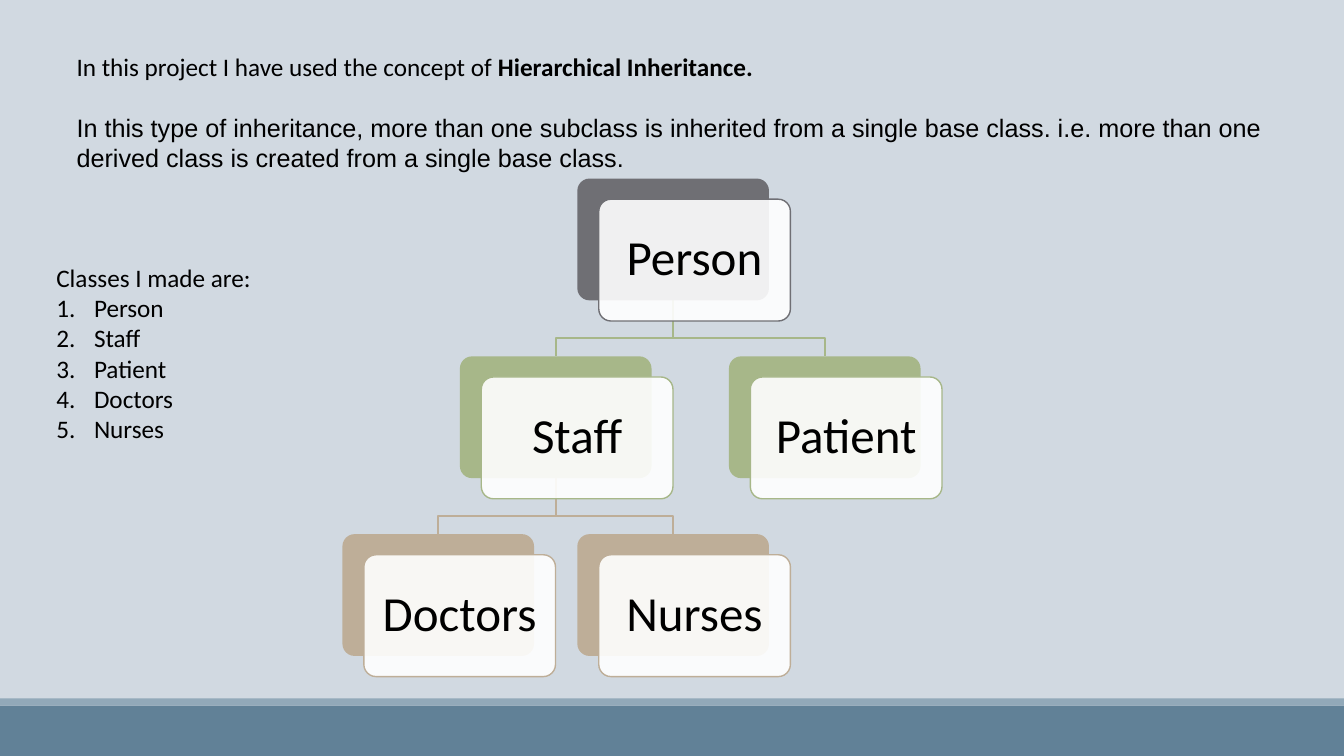
from lxml import etree
from pptx import Presentation
from pptx.dml.color import RGBColor
from pptx.enum.shapes import MSO_SHAPE
from pptx.enum.text import MSO_ANCHOR, PP_ALIGN
from pptx.oxml.ns import qn
from pptx.util import Cm, Pt

RECT = MSO_SHAPE.RECTANGLE
ROUNDED = MSO_SHAPE.ROUNDED_RECTANGLE
MIDDLE = MSO_ANCHOR.MIDDLE
CENTER = PP_ALIGN.CENTER

BLACK = RGBColor(0x00, 0x00, 0x00)
WHITE = RGBColor(0xFF, 0xFF, 0xFF)
SKY = RGBColor(0xD1, 0xD9, 0xE1)
SLATE = RGBColor(0x61, 0x81, 0x97)
MIST = RGBColor(0x92, 0xA9, 0xB9)
GRAY = RGBColor(0x6F, 0x6F, 0x74)
GREEN = RGBColor(0xA7, 0xB7, 0x89)
TAN = RGBColor(0xBE, 0xAE, 0x98)

SLIDE_W, SLIDE_H = 33.87, 19.05
CARD_W, CARD_H = 4.83, 3.07
SHIFT_X, SHIFT_Y = 0.54, 0.52
TOP_ROW, ROW_STEP = 4.5, 4.48
BEND = 0.95

prs = Presentation()
prs.slide_width = Cm(SLIDE_W)
prs.slide_height = Cm(SLIDE_H)
slide = prs.slides.add_slide(prs.slide_layouts[6])
slide.background.fill.solid()
slide.background.fill.fore_color.rgb = SKY


def add_block(kind, left, top, width, height, color):
    block = slide.shapes.add_shape(kind, Cm(left), Cm(top), Cm(width), Cm(height))
    block.shadow.inherit = False
    block.fill.solid()
    block.fill.fore_color.rgb = color
    block.line.fill.background()
    if kind == ROUNDED:
        block.adjustments[0] = 0.1
    return block


def add_run(paragraph, text, size=18, font="Calibri", bold=False):
    run = paragraph.add_run()
    run.text = text
    run.font.size = Pt(size)
    run.font.name = font
    run.font.bold = bold
    run.font.color.rgb = BLACK


add_block(RECT, 0, 17.78, SLIDE_W, 1.27, SLATE)
add_block(RECT, 0, 17.6, SLIDE_W, 0.18, MIST)

intro = slide.shapes.add_textbox(Cm(1.68), Cm(1.17), Cm(30.48), Cm(3.33)).text_frame
intro.word_wrap = True
concept = intro.paragraphs[0]
add_run(concept, "In this project I have used the concept of ")
add_run(concept, "Hierarchical Inheritance.", bold=True)
definition = intro.add_paragraph()
definition.space_before = Pt(22)
add_run(
    definition,
    "In this type of inheritance, more than one subclass is inherited from a single "
    "base class. i.e. more than one derived class is created from a single base class.",
    font="Arial",
)

classes = {
    "Person": (14.55, 0, GRAY, None),
    "Staff": (11.59, 1, GREEN, "Person"),
    "Patient": (18.37, 1, GREEN, "Person"),
    "Doctors": (8.63, 2, TAN, "Staff"),
    "Nurses": (14.55, 2, TAN, "Staff"),
}

for left, level, color, parent in classes.values():
    if parent is None:
        continue
    parent_x = Cm(classes[parent][0] + CARD_W / 2)
    child_x = Cm(left + CARD_W / 2)
    child_top = TOP_ROW + level * ROW_STEP
    parent_bottom = child_top - ROW_STEP + CARD_H
    bend_y = Cm(parent_bottom + BEND)
    outline = slide.shapes.build_freeform(parent_x, Cm(parent_bottom))
    outline.add_line_segments(
        [(parent_x, bend_y), (child_x, bend_y), (child_x, Cm(child_top))], close=False
    )
    branch = outline.convert_to_shape()
    branch.shadow.inherit = False
    branch.fill.background()
    branch.line.color.rgb = color
    branch.line.width = Pt(1.25)

for name, (left, level, color, parent) in classes.items():
    top = TOP_ROW + level * ROW_STEP
    add_block(ROUNDED, left, top, CARD_W, CARD_H, color)
    card = add_block(ROUNDED, left + SHIFT_X, top + SHIFT_Y, CARD_W, CARD_H, WHITE)
    white = card.fill._xPr.find(qn("a:solidFill"))[0]
    etree.SubElement(white, qn("a:alpha")).set("val", "90000")
    card.line.color.rgb = color
    card.line.width = Pt(1)
    label = card.text_frame
    label.word_wrap = False
    label.vertical_anchor = MIDDLE
    label.paragraphs[0].alignment = CENTER
    label.paragraphs[0].line_spacing = 0.9
    add_run(label.paragraphs[0], name, size=35)

class_list = slide.shapes.add_textbox(Cm(1.17), Cm(6.48), Cm(6.27), Cm(4.88)).text_frame
class_list.word_wrap = True
add_run(class_list.paragraphs[0], "Classes I made are:")
for name in classes:
    entry = class_list.add_paragraph()
    properties = entry._p.get_or_add_pPr()
    properties.set("marL", str(Cm(0.95)))
    properties.set("indent", str(-Cm(0.95)))
    etree.SubElement(properties, qn("a:buAutoNum")).set("type", "arabicPeriod")
    add_run(entry, name)

prs.save("out.pptx")
